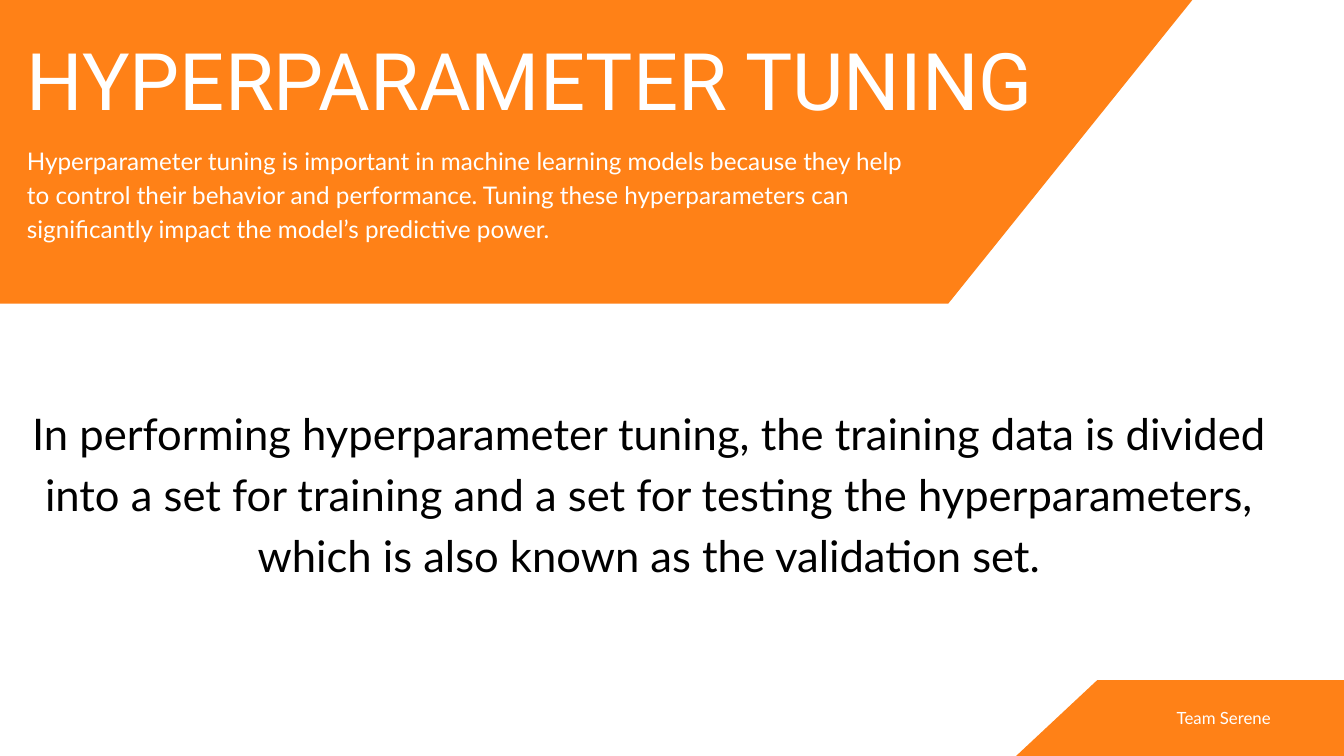
from pptx import Presentation
from pptx.dml.color import RGBColor
from pptx.enum.text import MSO_ANCHOR, MSO_AUTO_SIZE, PP_ALIGN
from pptx.util import Inches, Pt

COLUMNS, ROWS = 20, 11.25
ORANGE, WHITE, BLACK = "FF8117", "FFFFFF", "000000"
HEADING_FONT, BODY_FONT = "Roboto", "Lato"
MARGIN = 0.4


def color(hex_code):
    return RGBColor.from_string(hex_code)


class SlideBuilder:
    """Holds the style and the current slide; lengths are grid columns and rows."""

    def __init__(self, presentation):
        self.column = presentation.slide_width / COLUMNS
        self.row = presentation.slide_height / ROWS
        self.slide = presentation.slides.add_slide(presentation.slide_layouts[5])
        self.slide.background.fill.solid()
        self.slide.background.fill.fore_color.rgb = color(WHITE)

    def place(self, column, row):
        return round(column * self.column), round(row * self.row)

    def band(self, corners):
        """Draws an orange polygon behind the title."""
        points = [self.place(*corner) for corner in corners]
        outline = self.slide.shapes.build_freeform(*points[0], scale=1.0)
        outline.add_line_segments(points[1:], close=True)
        band = outline.convert_to_shape()
        band.fill.solid()
        band.fill.fore_color.rgb = color(ORANGE)
        band.line.fill.background()
        band.shadow.inherit = False
        self.slide.shapes.title.element.addprevious(band.element)

    def title(self, words, box, size, spacing):
        title = self.slide.shapes.title
        title.left, title.top = self.place(*box[:2])
        title.width, title.height = self.place(*box[2:])
        self.fill_frame(title.text_frame, words, size, spacing, WHITE, PP_ALIGN.LEFT, HEADING_FONT)

    def text(self, words, box, size, spacing, ink=WHITE, align=PP_ALIGN.LEFT):
        text_box = self.slide.shapes.add_textbox(*self.place(*box[:2]), *self.place(*box[2:]))
        self.fill_frame(text_box.text_frame, words, size, spacing, ink, align, BODY_FONT)

    def fill_frame(self, frame, words, size, spacing, ink, align, typeface):
        frame.text = words
        frame.word_wrap = True
        frame.auto_size = MSO_AUTO_SIZE.NONE
        frame.vertical_anchor = MSO_ANCHOR.TOP
        frame.margin_left = frame.margin_right = 0
        frame.margin_top = frame.margin_bottom = 0
        paragraph = frame.paragraphs[0]
        paragraph.alignment = align
        paragraph.line_spacing = Pt(spacing)
        paragraph.space_before = Pt(0)
        font = paragraph.runs[0].font
        font.name = typeface
        font.size = Pt(size)
        font.color.rgb = color(ink)


def main():
    presentation = Presentation()
    presentation.slide_width = Inches(20)
    presentation.slide_height = Inches(11.25)
    builder = SlideBuilder(presentation)

    builder.band([(-4.99, -1.45), (18.91, -1.45), (14.11, 4.52), (-0.19, 4.52)])
    builder.title("HYPERPARAMETER TUNING", (MARGIN, 0.46, 16.5, 1.41), 85, 102)
    builder.text(
        "Hyperparameter tuning is important in machine learning models because they help "
        "to control their behavior and performance. Tuning these hyperparameters can "
        "significantly impact the model’s predictive power.",
        (MARGIN, 2.11, 13.32, 1.47), 26, 36.4)

    builder.band([(16.33, 10.12), (20.19, 10.12), (21.41, 11.26), (15.11, 11.26)])
    builder.text("Team Serene", (16.7, 10.51, 2.21, 0.33), 18, 23.4, align=PP_ALIGN.RIGHT)

    builder.text(
        "In performing hyperparameter tuning, the training data is divided into a set for "
        "training and a set for testing the hyperparameters, which is also known as the "
        "validation set.",
        (MARGIN, 5.93, 18.51, 2.67), 46.7, 65.3, BLACK, PP_ALIGN.CENTER)

    presentation.save("out.pptx")


if __name__ == "__main__":
    main()
